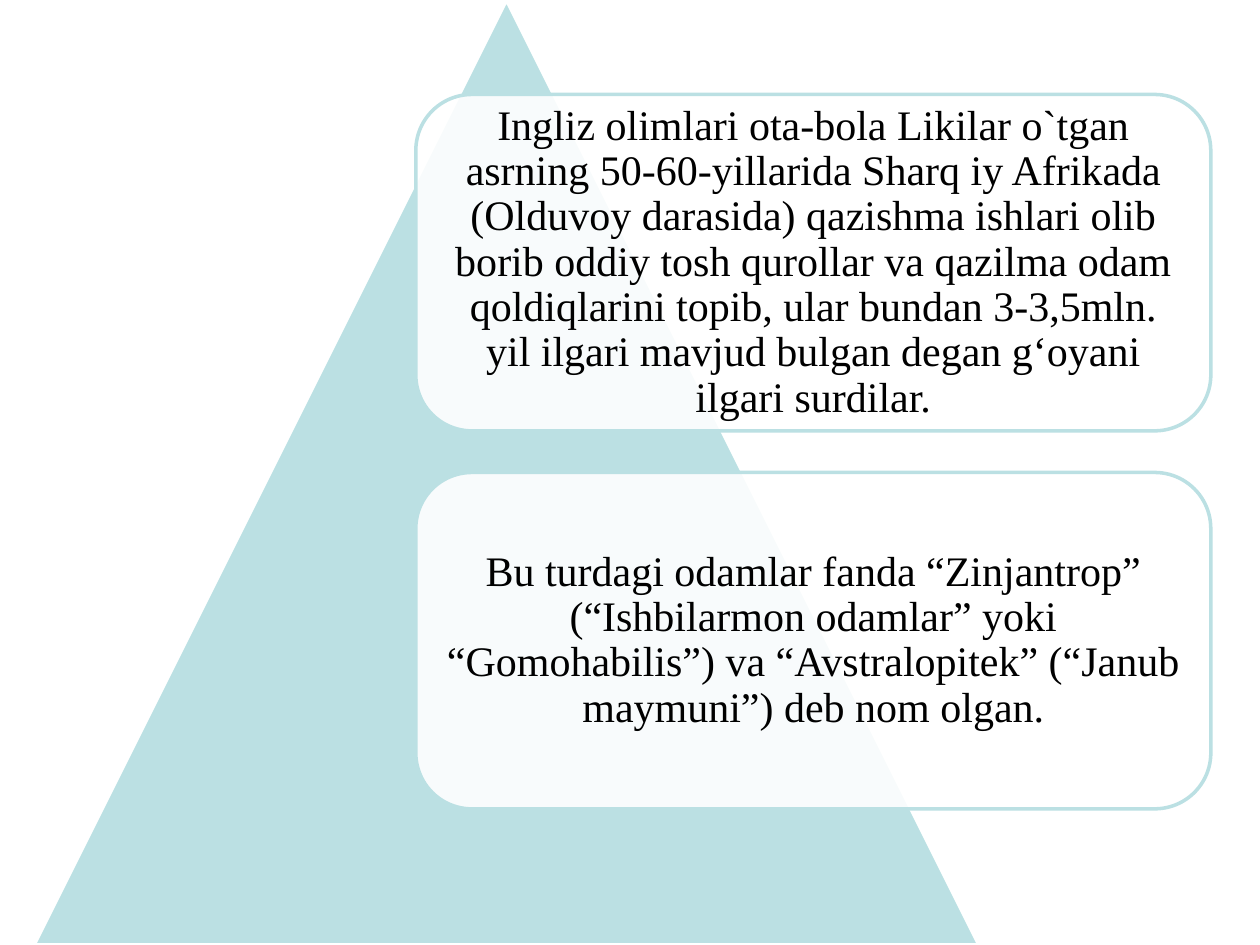
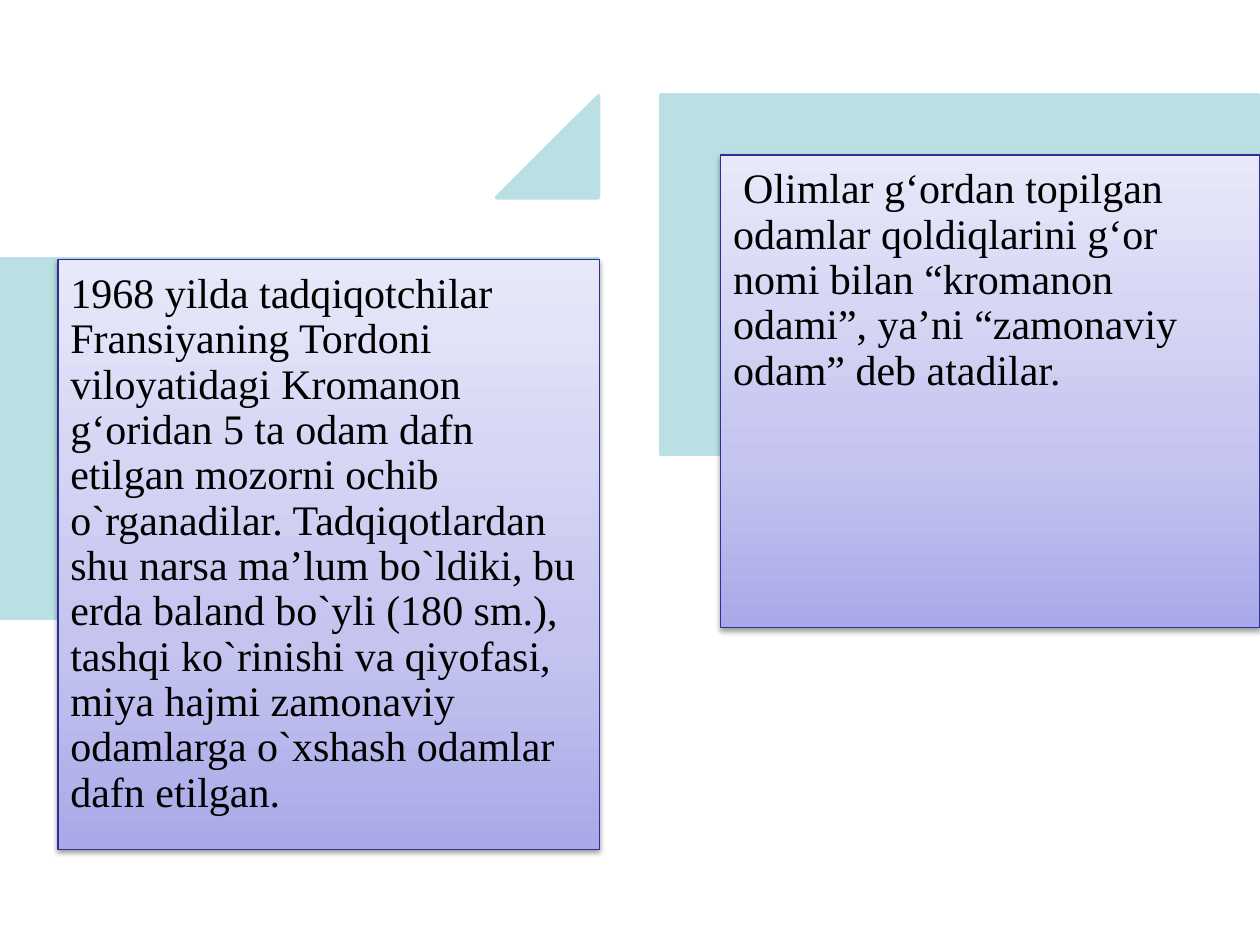
from lxml import etree
from pptx import Presentation
from pptx.dml.color import RGBColor
from pptx.enum.shapes import MSO_SHAPE
from pptx.enum.text import MSO_ANCHOR, PP_ALIGN
from pptx.oxml.ns import qn
from pptx.util import Inches, Pt

TRIANGLE = MSO_SHAPE.ISOSCELES_TRIANGLE
ROUNDED = MSO_SHAPE.ROUNDED_RECTANGLE
RECT = MSO_SHAPE.RECTANGLE
LEFT, CENTER = PP_ALIGN.LEFT, PP_ALIGN.CENTER
TOP, MIDDLE = MSO_ANCHOR.TOP, MSO_ANCHOR.MIDDLE

FONT = "Times New Roman"
COLORS = {
    "teal": "BBE0E3",
    "white": "FFFFFF",
    "text": "000000",
    "card_line": "2F2F98",
    "card_dark": "A9A9E9",
    "card_mid": "C4C4EF",
    "card_light": "E8E8FA",
}
CARD_STOPS = [(0, "card_dark"), (35, "card_mid"), (100, "card_light")]

FINDS = [
    "Ingliz olimlari ota-bola Likilar o`tgan asrning 50-60-yillarida Sharq iy "
    "Afrikada (Olduvoy darasida) qazishma ishlari olib borib oddiy tosh qurollar "
    "va qazilma odam qoldiqlarini topib, ular bundan 3-3,5mln. yil ilgari mavjud "
    "bulgan degan g‘oyani ilgari surdilar.",
    "Bu turdagi odamlar fanda “Zinjantrop” (“Ishbilarmon odamlar” yoki "
    "“Gomohabilis”) va “Avstralopitek” (“Janub maymuni”) deb nom olgan.",
]
BURIAL = (
    "1968 yilda tadqiqotchilar Fransiyaning Tordoni viloyatidagi Kromanon "
    "g‘oridan 5 ta odam dafn etilgan mozorni ochib o`rganadilar. Tadqiqotlardan "
    "shu narsa ma’lum bo`ldiki, bu erda baland bo`yli (180 sm.), tashqi ko`rinishi "
    "va qiyofasi, miya hajmi zamonaviy odamlarga o`xshash odamlar dafn etilgan."
)
NAMING = (
    "Olimlar g‘ordan topilgan odamlar qoldiqlarini g‘or nomi bilan “kromanon "
    "odami”, ya’ni “zamonaviy odam” deb atadilar."
)


def rgb(name):
    return RGBColor.from_string(COLORS[name])


def add_child(parent, tag, **attrs):
    return etree.SubElement(parent, qn(tag), {k: str(v) for k, v in attrs.items()})


def add_block(slide, kind, x, y, w, h, fill="teal", line="teal", line_width=2):
    sp = slide.shapes.add_shape(kind, Inches(x), Inches(y), Inches(w), Inches(h))
    sp.shadow.inherit = False
    sp.fill.solid()
    sp.fill.fore_color.rgb = rgb(fill)
    sp.line.color.rgb = rgb(line)
    sp.line.width = Pt(line_width)
    return sp


def write_text(sp, text, align=LEFT, anchor=TOP, size=24, indent=0):
    tf = sp.text_frame
    tf.word_wrap = True
    tf.vertical_anchor = anchor
    tf.margin_left = tf.margin_right = Inches(0.1)
    tf.margin_top = tf.margin_bottom = Inches(0.1)
    p = tf.paragraphs[0]
    p.alignment = align
    p.line_spacing = 0.9
    if indent:
        p._p.get_or_add_pPr().set("indent", str(Inches(indent)))
    r = p.add_run()
    r.text = text
    r.font.name = FONT
    r.font.size = Pt(size)
    r.font.color.rgb = rgb("text")


def set_alpha(sp, percent):
    color = sp._element.spPr.find(qn("a:solidFill")).find(qn("a:srgbClr"))
    add_child(color, "a:alpha", val=percent * 1000)


def set_card_gradient(sp):
    sp.fill.gradient()
    sp.fill.gradient_angle = 90
    stops = sp._element.spPr.find(qn("a:gradFill")).find(qn("a:gsLst"))
    for old in list(stops):
        stops.remove(old)
    for position, name in CARD_STOPS:
        stop = add_child(stops, "a:gs", pos=position * 1000)
        add_child(stop, "a:srgbClr", val=COLORS[name])


def add_soft_shadow(sp):
    effects = sp._element.spPr.find(qn("a:effectLst"))
    shadow = add_child(effects, "a:outerShdw", blurRad=Pt(3.1), dist=Pt(1.6),
                       dir=5400000, rotWithShape=0)
    color = add_child(shadow, "a:srgbClr", val=COLORS["text"])
    add_child(color, "a:alpha", val=38000)


def add_panel(slide, y, text):
    """Translucent rounded panel over the pyramid."""
    sp = add_block(slide, ROUNDED, 3.3, y, 6.31, 2.67, fill="white")
    set_alpha(sp, 90)
    write_text(sp, text, align=CENTER, anchor=MIDDLE)


def add_bracket(slide, x, y):
    """Step bracket, turned a quarter so that it opens to the lower right."""
    sp = add_block(slide, RECT, x, y, 2.85, 4.74)
    sp.rotation = 90
    # The "corner" preset has no MSO_SHAPE member
    geometry = sp._element.spPr.find(qn("a:prstGeom"))
    geometry.set("prst", "corner")
    guides = geometry.find(qn("a:avLst"))
    for name in ("adj1", "adj2"):
        add_child(guides, "a:gd", name=name, fmla="val 16100")


def add_card(slide, x, y, w, h, text, indent=0):
    sp = add_block(slide, RECT, x, y, w, h, line="card_line", line_width=0.75)
    set_card_gradient(sp)
    add_soft_shadow(sp)
    write_text(sp, text, indent=indent)


def build_pyramid_slide(slide):
    add_block(slide, TRIANGLE, 0.27, 0, 7.5, 7.5, line="white")
    for i, text in enumerate(FINDS):
        add_panel(slide, 0.75 + 3 * i, text)


def build_steps_slide(slide):
    # Lower step
    add_bracket(slide, 0.95, 1.11)
    add_card(slide, 0.46, 2.06, 4.3, 4.68, BURIAL)
    # Corner pointing up to the next step
    corner = add_block(slide, TRIANGLE, 3.94, 0.76, 0.81, 0.81)
    corner.adjustments[0] = 1
    # Upper step
    add_bracket(slide, 6.19, -0.19)
    add_card(slide, 5.72, 1.23, 4.28, 3.75, NAMING, indent=0.08)


def main():
    prs = Presentation()
    prs.slide_width, prs.slide_height = Inches(10), Inches(7.5)
    blank = prs.slide_layouts[6]
    for build in (build_pyramid_slide, build_steps_slide):
        build(prs.slides.add_slide(blank))
    prs.save("out.pptx")


if __name__ == "__main__":
    main()
